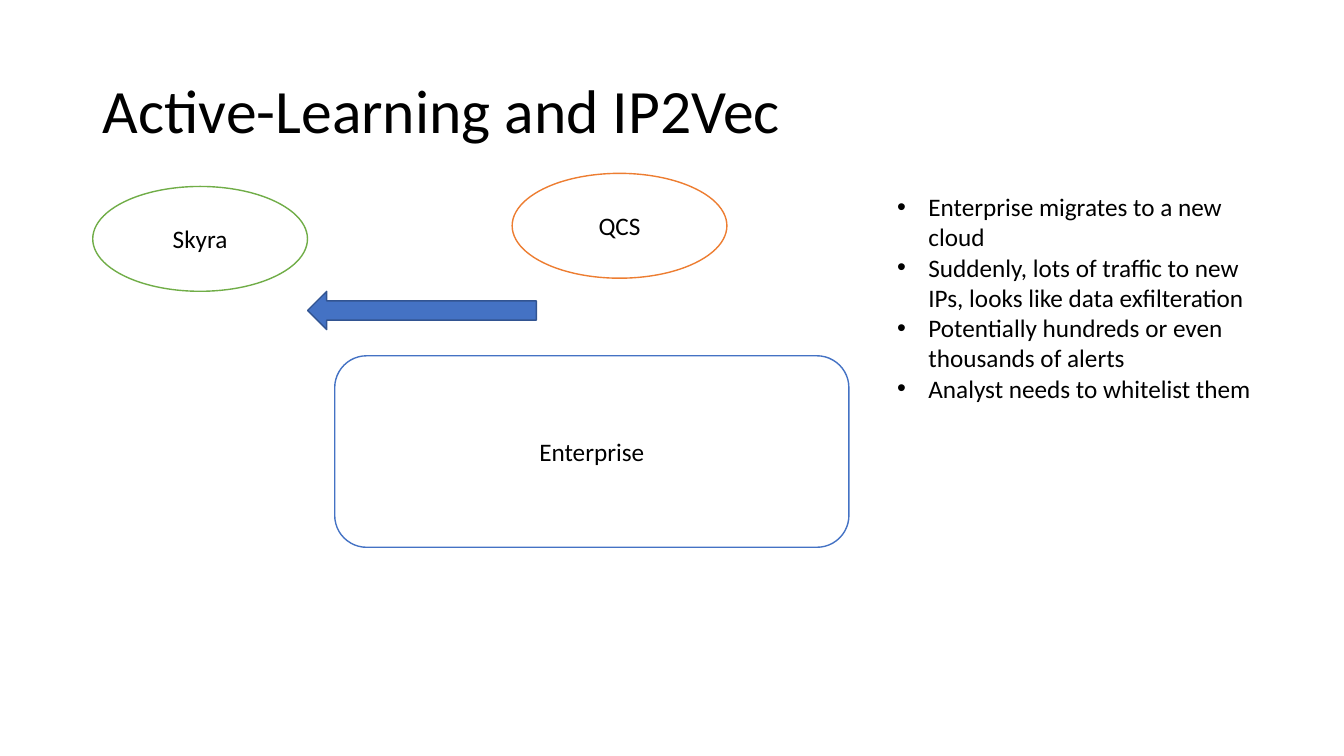
from lxml.etree import SubElement
from pptx import Presentation
from pptx.dml.color import RGBColor
from pptx.enum.shapes import MSO_SHAPE as Shape
from pptx.enum.text import MSO_ANCHOR as Anchor, MSO_AUTO_SIZE as Auto, PP_ALIGN as Align
from pptx.oxml.ns import qn
from pptx.util import Pt

PX = 9144  # EMU per px, 100 px to the inch
BLACK = RGBColor(0x00, 0x00, 0x00)
WHITE = RGBColor(0xFF, 0xFF, 0xFF)
BLUE = RGBColor(0x44, 0x72, 0xC4)
NAVY = RGBColor(0x32, 0x54, 0x91)
ORANGE = RGBColor(0xED, 0x7D, 0x31)
GREEN = RGBColor(0x70, 0xAD, 0x47)


def style(para, size, align):
    para.alignment = align
    for run in para.runs:
        run.font.name = "Calibri"
        run.font.size = Pt(size)
        run.font.color.rgb = BLACK


def draw(kind, box, fill, line):
    shape = slide.shapes.add_shape(kind, *[n * PX for n in box])
    shape.shadow.inherit = False
    shape.fill.solid()
    shape.fill.fore_color.rgb = fill
    shape.line.color.rgb = line
    shape.line.width = Pt(1)
    return shape


deck = Presentation()
deck.slide_width = 1333 * PX
deck.slide_height = 750 * PX
slide = deck.slides.add_slide(deck.slide_layouts[5])

title = slide.shapes.title
title.left, title.top, title.width, title.height = [n * PX for n in (92, 40, 1150, 145)]
title.text_frame.text = "Active-Learning and IP2Vec"
title.text_frame.vertical_anchor = Anchor.MIDDLE
head = title.text_frame.paragraphs[0]
head.line_spacing = 0.9
style(head, 44, Align.LEFT)

nodes = [
    ("Enterprise", Shape.ROUNDED_RECTANGLE, (332, 353, 510, 190), BLUE),
    ("QCS", Shape.OVAL, (508, 172, 213, 104), ORANGE),
    ("Skyra", Shape.OVAL, (92, 185, 213, 104), GREEN),
]
for name, kind, box, color in nodes:
    frame = draw(kind, box, WHITE, color).text_frame
    frame.text = name
    frame.vertical_anchor = Anchor.MIDDLE
    style(frame.paragraphs[0], 18, Align.CENTER)

arrow = draw(Shape.RIGHT_ARROW, (305, 289, 227, 38), BLUE, NAVY)
arrow.rotation = 180

points = [
    "Enterprise migrates to a new cloud",
    "Suddenly, lots of traffic to new IPs, looks like data exfilteration",
    "Potentially hundreds or even thousands of alerts",
    "Analyst needs to whitelist them",
]
notes = slide.shapes.add_textbox(*[n * PX for n in (880, 185, 398, 222)]).text_frame
notes.word_wrap = True
notes.auto_size = Auto.SHAPE_TO_FIT_TEXT
notes.text = "\n".join(points)
for para in notes.paragraphs:
    style(para, 18, Align.LEFT)
    props = para._p.get_or_add_pPr()
    props.set("marL", str(31 * PX))
    props.set("indent", str(-31 * PX))
    SubElement(props, qn("a:buFont"), typeface="Arial")
    SubElement(props, qn("a:buChar"), char="•")

deck.save("out.pptx")
